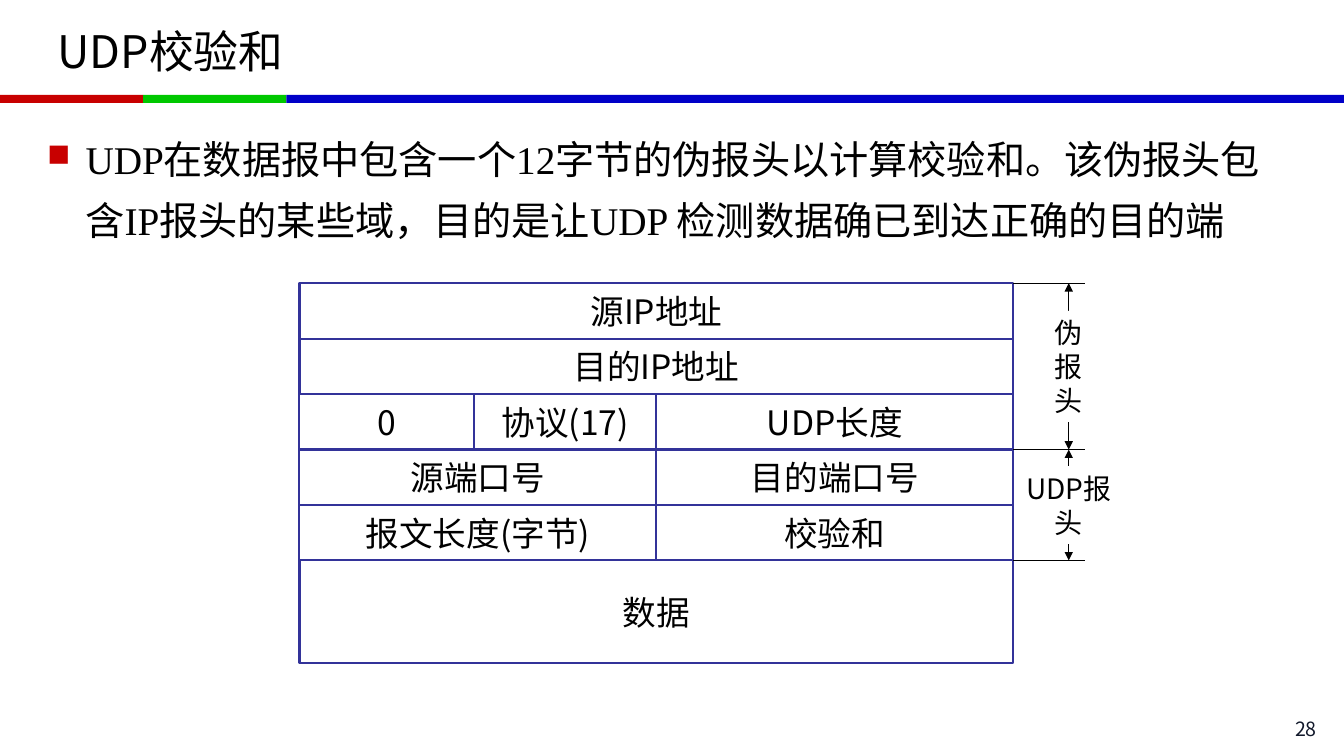
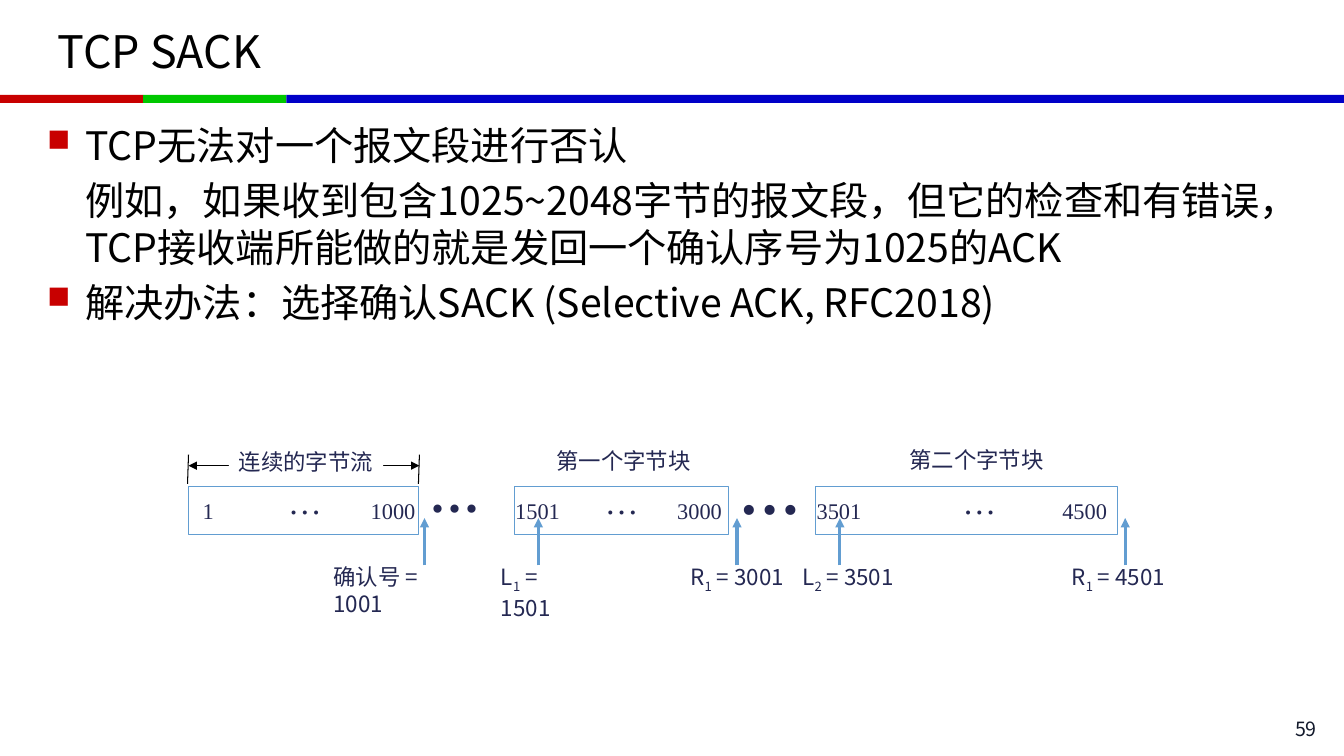
from lxml import etree
from pptx import Presentation
from pptx.dml.color import RGBColor
from pptx.enum.shapes import MSO_CONNECTOR, MSO_SHAPE
from pptx.enum.text import MSO_ANCHOR, MSO_AUTO_SIZE, PP_ALIGN
from pptx.oxml.ns import qn
from pptx.util import Inches, Pt

RECT = MSO_SHAPE.RECTANGLE
STRAIGHT = MSO_CONNECTOR.STRAIGHT
LEFT, CENTER, RIGHT = PP_ALIGN.LEFT, PP_ALIGN.CENTER, PP_ALIGN.RIGHT
TOP, MIDDLE = MSO_ANCHOR.TOP, MSO_ANCHOR.MIDDLE
NO_AUTOFIT = MSO_AUTO_SIZE.NONE

SLIDE_W, SLIDE_H = 13.33, 7.5
SANS, SERIF = "Noto Sans CJK SC", "Times New Roman"
COLORS = {
    "red": "C80000", "green": "00C800", "blue": "0000C8",
    "black": "000000", "white": "FFFFFF", "number": "12192B",
    "field": "333399", "block": "629DD1", "navy": "242852",
}
BAND_TOP, BAND_H, BAND_UNIT = 0.94, 0.08, 1.42
BANDS = [("red", 0, BAND_UNIT), ("green", BAND_UNIT, 2 * BAND_UNIT),
         ("blue", 2 * BAND_UNIT, SLIDE_W)]
NO_INSET = {"margin_left": 0, "margin_right": 0, "margin_top": 0, "margin_bottom": 0}


def rgb(name):
    return RGBColor.from_string(COLORS[name])


def box(left, top, width, height):
    return [Inches(value) for value in (left, top, width, height)]


def set_all(target, formats):
    for name, value in formats.items():
        setattr(target, name, value)


def add_run(paragraph, text, size, color, font=SANS, bold=False, baseline=0):
    run = paragraph.add_run()
    run.text = text
    run.font.color.rgb = rgb(color)
    set_all(run.font, {"size": Pt(size), "name": font, "bold": bold})
    properties = run._r.get_or_add_rPr()
    etree.SubElement(properties, qn("a:ea"), typeface=SANS)
    if baseline:
        properties.set("baseline", str(baseline * 1000))


def fill_frame(shape, text, size, color, align=LEFT, anchor=TOP, wrap=True,
               font=SANS, bold=False, frame_formats=None):
    frame = shape.text_frame
    set_all(frame, {"word_wrap": wrap, "auto_size": NO_AUTOFIT,
                    "vertical_anchor": anchor, **(frame_formats or {})})
    paragraph = frame.paragraphs[0]
    paragraph.alignment = align
    runs = [(text, 0)] if isinstance(text, str) else text
    for part, baseline in runs:
        add_run(paragraph, part, size, color, font, bold, baseline)


def add_label(slide, at, text, size, color, **formats):
    fill_frame(slide.shapes.add_textbox(*box(*at)), text, size, color, **formats)


def add_rect(slide, at, fill=None, line=None, weight=1):
    shape = slide.shapes.add_shape(RECT, *box(*at))
    shape.shadow.inherit = False
    if fill:
        shape.fill.solid()
        shape.fill.fore_color.rgb = rgb(fill)
    else:
        shape.fill.background()
    if line:
        shape.line.color.rgb = rgb(line)
        shape.line.width = Pt(weight)
    else:
        shape.line.fill.background()
    return shape


def add_line(slide, start, end, color="black", weight=0.75, arrows=()):
    points = [Inches(value) for value in (*start, *end)]
    connector = slide.shapes.add_connector(STRAIGHT, *points)
    connector.line.color.rgb = rgb(color)
    connector.line.width = Pt(weight)
    outline = connector.line._get_or_add_ln()
    for arrow in arrows:
        etree.SubElement(outline, qn(f"a:{arrow}"), type="triangle")
    etree.SubElement(connector._element.spPr, qn("a:effectLst"))


def add_bullet(paragraph):
    properties = paragraph._p.get_or_add_pPr()
    color = etree.SubElement(properties, qn("a:buClr"))
    etree.SubElement(color, qn("a:srgbClr"), val=COLORS["red"])
    etree.SubElement(properties, qn("a:buSzPct"), val="80000")
    etree.SubElement(properties, qn("a:buChar"), char="■")


def add_body(slide, height, paragraphs, font=SANS, spacing=1.0):
    frame = slide.shapes.add_textbox(*box(0.37, 1.15, 12.6, height)).text_frame
    frame.word_wrap = True
    for index, (text, bulleted) in enumerate(paragraphs):
        paragraph = frame.add_paragraph() if index else frame.paragraphs[0]
        properties = paragraph._p.get_or_add_pPr()
        properties.set("marL", str(Inches(0.38)))
        properties.set("indent", str(Inches(-0.38) if bulleted else 0))
        if bulleted:
            add_bullet(paragraph)
        set_all(paragraph, {"line_spacing": spacing,
                            "space_before": Pt(5.6 if index else 0)})
        add_run(paragraph, text, 28, "black", font)


def add_slide(deck, title, number):
    slide = deck.slides.add_slide(deck.slide_layouts[5])
    for color, start, end in BANDS:
        add_rect(slide, (start, BAND_TOP, end - start, BAND_H), fill=color)
    add_label(slide, (11.86, 7.06, 1.3, 0.28), number, 14, "number", align=RIGHT)
    heading = slide.shapes.title
    set_all(heading, dict(zip(("left", "top", "width", "height"),
                              box(0.47, 0.08, 12.39, 0.84))))
    fill_frame(heading, title, 32, "black", anchor=MIDDLE)
    return slide


def add_datagram(slide):
    columns = [2.97, 4.7, 6.51, 10.05]
    rows = [2.81 + 0.55 * index for index in range(6)] + [6.58]
    fields = [
        ("源IP地址", 0, 3, 0), ("目的IP地址", 0, 3, 1),
        ("0", 0, 1, 2), ("协议(17)", 1, 2, 2), ("UDP长度", 2, 3, 2),
        ("源端口号", 0, 2, 3), ("目的端口号", 2, 3, 3),
        ("报文长度(字节)", 0, 2, 4), ("校验和", 2, 3, 4),
        ("数据", 0, 3, 5),
    ]
    for text, first, last, row in fields:
        at = (columns[first], rows[row],
              columns[last] - columns[first], rows[row + 1] - rows[row])
        field = add_rect(slide, at, line="field", weight=1.5)
        fill_frame(field, text, 24, "black", align=CENTER, anchor=MIDDLE, wrap=False)

    edge, arrow_x = columns[-1], 10.6
    for row in (0, 3, 5):
        add_line(slide, (edge, rows[row]), (edge + 0.71, rows[row]), weight=1)
    headers = [("伪报头", 0, 3, 0.41, 1.1), ("UDP报头", 3, 5, 0.86, 0.77)]
    for text, first, last, width, height in headers:
        top, bottom = rows[first], rows[last]
        add_line(slide, (arrow_x, top), (arrow_x, bottom),
                 arrows=("headEnd", "tailEnd"))
        at = (arrow_x - width / 2, (top + bottom - height) / 2, width, height)
        fill_frame(add_rect(slide, at, fill="white"), text, 20, "black",
                   align=CENTER, anchor=MIDDLE, frame_formats=NO_INSET)


def add_byte_blocks(slide):
    top, height = 4.83, 0.47
    blocks = [(1.87, 2.28, "1", 2.01, "1000", 4.12, 2.76),
              (5.1, 2.13, "1501", 5.11, "3000", 7.16, 5.9),
              (8.09, 2.99, "3501", 8.1, "4500", 10.98, 9.45)]
    number_w = 0.6
    for left, width, first, first_x, last, last_x, dots_x in blocks:
        add_rect(slide, (left, top, width, height), "white", "block", 0.75)
        for text, x, align in ((first, first_x, LEFT), (last, last_x - number_w, RIGHT)):
            add_label(slide, (x, top, number_w, height), text, 16, "navy", align=align,
                      anchor=MIDDLE, font=SERIF, frame_formats=NO_INSET)
        add_label(slide, (dots_x, 4.72, 0.53, 0.5), "…", 24, "navy", font=SERIF)
    for at, size in (((4.16, 4.54, 0.7, 0.7), 36), ((7.23, 4.44, 0.81, 0.83), 44)):
        add_label(slide, at, "…", size, "navy", font=SERIF, bold=True)


def add_block_names(slide):
    start, end = 1.87, 4.16
    add_line(slide, (start, 4.62), (end, 4.62), arrows=("headEnd", "tailEnd"))
    for x in (start, end):
        add_line(slide, (x, 4.51), (x - 0.01, 4.8))
    add_rect(slide, (2.27, 4.4, 1.53, 0.37), fill="white")
    for text, x, y in (("连续的字节流", 2.27, 4.4), ("第一个字节块", 5.42, 4.39),
                       ("第二个字节块", 8.92, 4.38)):
        add_label(slide, (x, y, 1.53, 0.37), text, 16, "navy", align=CENTER, wrap=False)


def add_pointers(slide):
    pointers = [
        (4.21, 3.21, 1.2, "确认号 = 1001"),
        (5.34, 4.87, 0.95, [("L", 0), ("1", -25), (" = 1501", 0)]),
        (7.31, 6.75, 1.3, [("R", 0), ("1", -25), (" = 3001", 0)]),
        (8.33, 7.86, 1.3, [("L", 0), ("2", -25), (" = 3501", 0)]),
        (11.16, 10.53, 1.3, [("R", 0), ("1", -25), (" = 4501", 0)]),
    ]
    for arrow_x, label_x, width, text in pointers:
        add_label(slide, (label_x, 5.54, width, 0.37), text, 16, "navy")
        add_line(slide, (arrow_x, 5.61), (arrow_x, 5.14), "block", 2.25, ("tailEnd",))


def main():
    deck = Presentation()
    deck.slide_width, deck.slide_height = Inches(SLIDE_W), Inches(SLIDE_H)

    checksum = add_slide(deck, "UDP校验和", "28")
    add_body(checksum, 1.41, [
        ("UDP在数据报中包含一个12字节的伪报头以计算校验和。该伪报头包含IP报头的某些域，"
         "目的是让UDP 检测数据确已到达正确的目的端", True)], SERIF, 1.3)
    add_datagram(checksum)

    sack = add_slide(deck, "TCP SACK", "59")
    add_body(sack, 3.39, [
        ("TCP无法对一个报文段进行否认", True),
        ("例如，如果收到包含1025~2048字节的报文段，但它的检查和有错误，"
         "TCP接收端所能做的就是发回一个确认序号为1025的ACK", False),
        ("解决办法：选择确认SACK (Selective ACK, RFC2018)", True)])
    add_byte_blocks(sack)
    add_block_names(sack)
    add_pointers(sack)

    deck.save("out.pptx")


if __name__ == "__main__":
    main()
